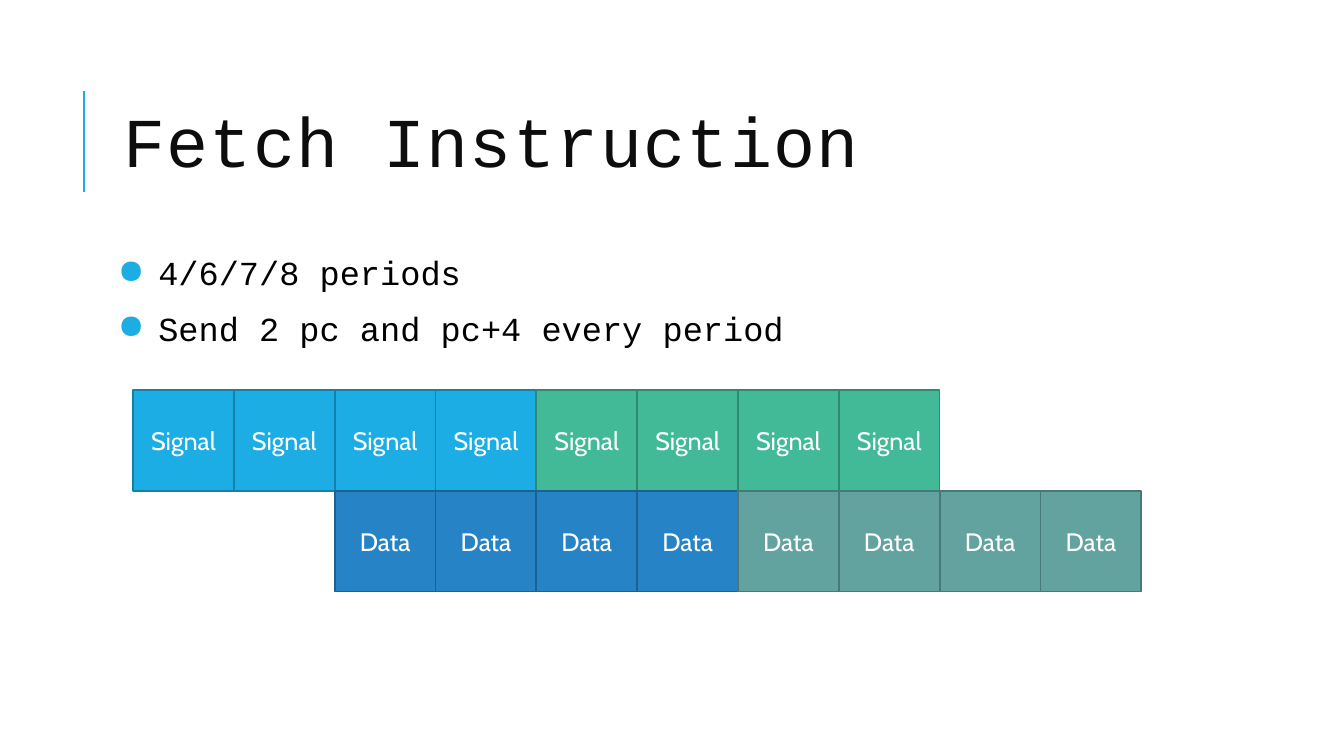
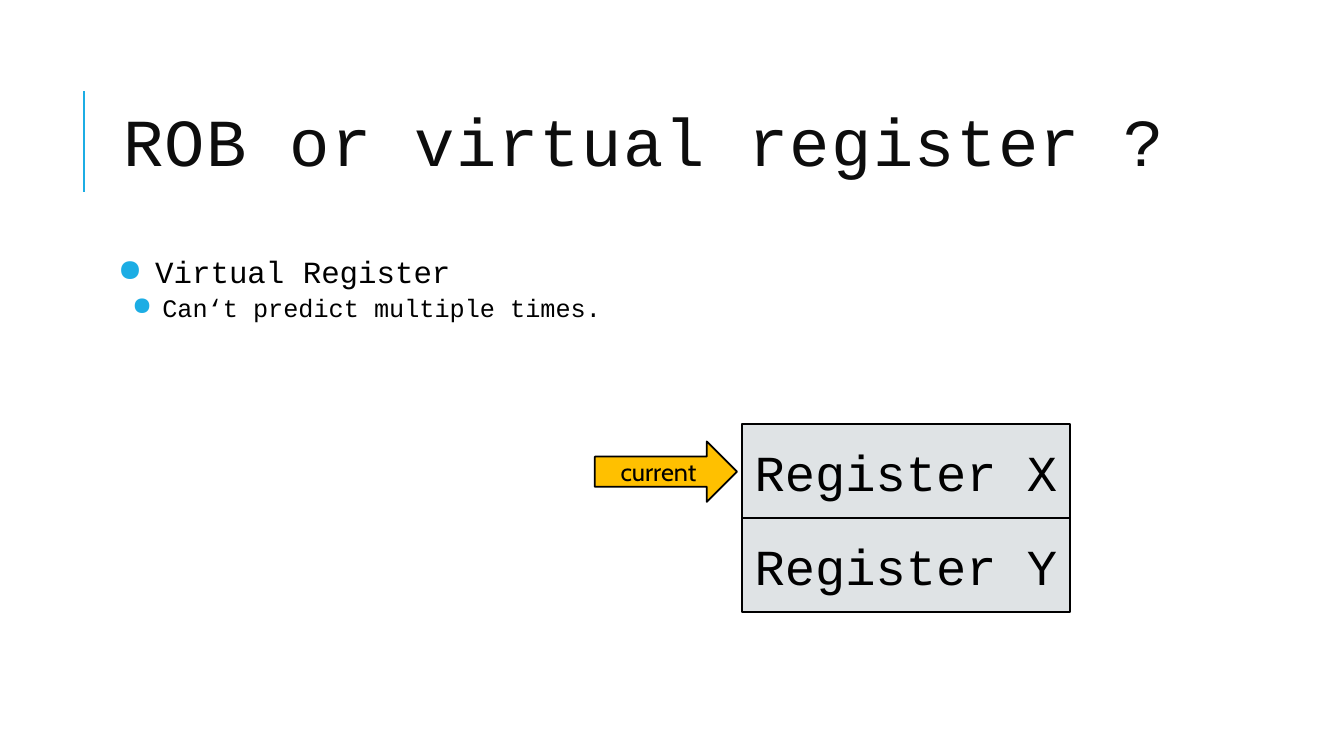
from pptx import Presentation
from pptx.dml.color import RGBColor as RGB
from pptx.enum.shapes import MSO_CONNECTOR as CONN, MSO_SHAPE as SHAPE
from pptx.enum.text import MSO_ANCHOR as ANCHOR, MSO_AUTO_SIZE as AUTO, PP_ALIGN as ALIGN
from pptx.oxml.ns import qn
from pptx.util import Emu, Pt
from lxml.etree import SubElement as Sub

PX = 9144  # EMU in one px, 100 px to the inch
MONO, SANS = "Courier New", "Cabin"
COLOR = {
    "accent": "1CADE4", "title": "0D0D0D", "black": "000000", "white": "FFFFFF",
    "sky": "1CADE4", "sky edge": "1580A9", "green": "42BA97", "green edge": "318A70",
    "blue": "2683C6", "blue edge": "1C6192", "teal": "62A39F", "teal edge": "497976",
    "pale": "DFE3E5", "amber": "FFC000",
}
TITLE, BODY = (112, 64, 1063, 164), (112, 250, 1063, 440)


def px(*nums):
    return [Emu(n * PX) for n in nums]


def rgb(name):
    return RGB.from_string(COLOR[name])


def style(run, face, size, color):
    for key, val in {"name": face, "size": Pt(size)}.items():
        setattr(run.font, key, val)
    run.font.color.rgb = rgb(color)


def format_par(par, **vals):
    for key, val in vals.items():
        setattr(par, key, val)


# Accent rule and title, shared by all slides
def add_page(deck, text, size):
    slide = deck.slides.add_slide(deck.slide_layouts[5])
    rule = slide.shapes.add_connector(CONN.STRAIGHT, *px(83, 190, 83, 90))
    rule.line.color.rgb = rgb("accent")
    rule.line.width = Pt(1.5)
    Sub(rule._element.spPr, qn("a:effectLst"))

    title = slide.shapes.title
    for key, val in zip(("left", "top", "width", "height"), px(*TITLE)):
        setattr(title, key, val)
    frame = title.text_frame
    frame.auto_size, frame.vertical_anchor = AUTO.NONE, ANCHOR.MIDDLE
    par = frame.paragraphs[0]
    format_par(par, alignment=ALIGN.LEFT, line_spacing=0.8)
    run = par.add_run()
    run.text = text
    style(run, MONO, size, "title")
    run._r.get_or_add_rPr().set("spc", "100")
    return slide


# Bulleted text; each item is text, size, bullet left, text left, space before and after
def add_list(slide, box, items):
    frame = slide.shapes.add_textbox(*px(*box)).text_frame
    frame.word_wrap = True
    for side in ("left", "top", "right", "bottom"):
        setattr(frame, f"margin_{side}", Emu(5 * PX))
    for i, (text, size, dot, left, before, after) in enumerate(items):
        par = frame.add_paragraph() if i else frame.paragraphs[0]
        format_par(par, line_spacing=0.9, space_before=Pt(before), space_after=Pt(after))
        props = par._p.get_or_add_pPr()
        props.set("marL", str(left * PX))
        props.set("indent", str((dot - left) * PX))
        Sub(Sub(props, qn("a:buClr")), qn("a:srgbClr")).set("val", COLOR["accent"])
        Sub(props, qn("a:buChar")).set("char", "●")
        run = par.add_run()
        run.text = text
        style(run, MONO, size, "black")


# Filled shape with a centred label
def add_box(slide, box, text, fill, edge, face=SANS, size=18, ink="black", kind=SHAPE.RECTANGLE):
    shape = slide.shapes.add_shape(kind, *px(*box))
    shape.shadow.inherit = False
    shape.fill.solid()
    shape.fill.fore_color.rgb = rgb(fill)
    shape.line.color.rgb = rgb(edge)
    shape.line.width = Pt(1.25)
    frame = shape.text_frame
    frame.vertical_anchor = ANCHOR.MIDDLE
    par = frame.paragraphs[0]
    par.alignment = ALIGN.CENTER
    run = par.add_run()
    run.text = text
    style(run, face, size, ink)


# Row of square periods, four of each fill
def add_track(slide, left, top, side, text, fills):
    for i in range(8):
        fill = fills[i // 4]
        add_box(slide, (left + i * side, top, side, side), text, fill, f"{fill} edge", ink="white")


# Stack of registers with an arrow at the first one
def add_stack(slide, left, top, width, height, names):
    for i, name in enumerate(names):
        add_box(slide, (left, top + i * height, width, height), name, "pale", "black", MONO, 36)
    add_box(slide, (left - 146, top + 17, 141, 60), "current", "amber", "black",
            kind=SHAPE.RIGHT_ARROW)


def fetch_slide(deck):
    slide = add_page(deck, "Fetch Instruction", 50)
    add_list(slide, BODY, [
        ("4/6/7/8 periods", 24, 0, 40, 12, 2),
        ("Send 2 pc and pc+4 every period", 24, 0, 40, 12, 2),
    ])
    side, left, top = 100, 132, 387
    add_track(slide, left, top, side, "Signal", ("sky", "green"))
    add_track(slide, left + 2 * side, top + side, side, "Data", ("blue", "teal"))


def register_slide(deck):
    slide = add_page(deck, "ROB or virtual register ?", 48)
    add_list(slide, (*BODY[:3], 149), [
        ("Virtual Register", 22, 0, 37, 12, 2),
        ("Can‘t predict multiple times.", 18, 14, 44, 2, 4),
    ])
    add_stack(slide, 736, 421, 325, 93, ("Register X", "Register Y"))


def main():
    deck = Presentation()
    deck.slide_width, deck.slide_height = px(1333, 750)
    fetch_slide(deck)
    register_slide(deck)
    deck.save("out.pptx")


if __name__ == "__main__":
    main()
